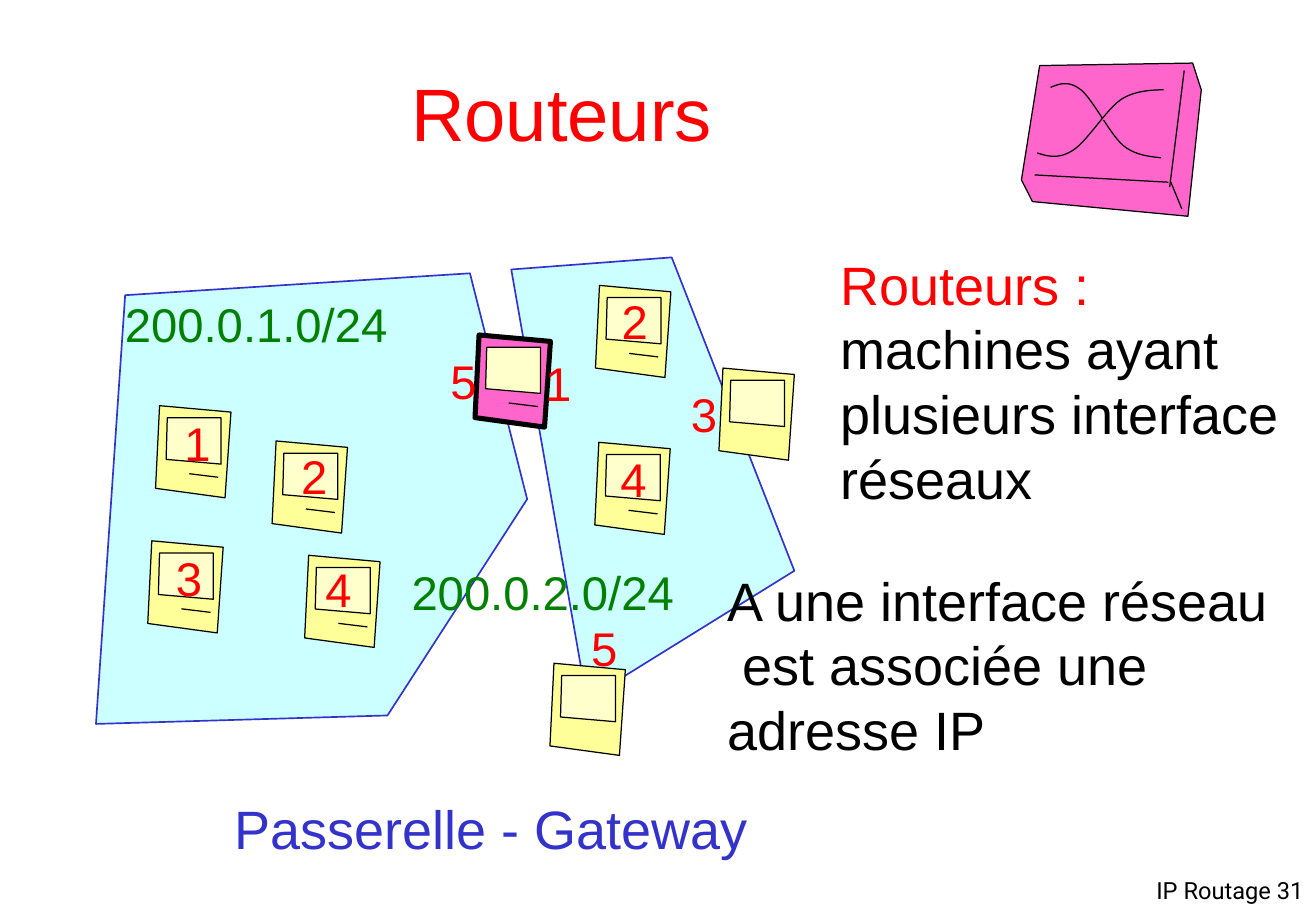
from dataclasses import dataclass

from lxml import etree
from pptx import Presentation
from pptx.dml.color import RGBColor
from pptx.enum import shapes, text
from pptx.oxml import ns
from pptx.shapes import shapetree as tree
from pptx.text import text as txt
from pptx.util import Pt

BLACK = RGBColor(0x00, 0x00, 0x00)
RED = RGBColor(0xFF, 0x00, 0x00)
GREEN = RGBColor(0x00, 0x80, 0x00)
BLUE = RGBColor(0x33, 0x33, 0xCC)
CYAN = RGBColor(0xCC, 0xFF, 0xFF)
YELLOW = RGBColor(0xFF, 0xFF, 0x99)
CREAM = RGBColor(0xFF, 0xFF, 0xCC)
PINK = RGBColor(0xFF, 0x66, 0xCC)

Point = tuple[float, float]
Canvas = tree.SlideShapes | tree.GroupShapes

THIN = 0.75
CURVE_STEPS = 12


@dataclass(frozen=True)
class Machine:
    left: float
    top: float
    fill: RGBColor = YELLOW
    weight: float = THIN
    has_slot: bool = True


@dataclass(frozen=True)
class HostNumber:
    number: str
    left: float
    top: float


@dataclass(frozen=True)
class Caption:
    runs: tuple[tuple[str, RGBColor], ...]
    left: float
    top: float
    width: float
    height: float
    size: float
    spacing: float
    font: str = "Arial"
    align: text.PP_ALIGN = text.PP_ALIGN.LEFT
    wrap: bool = True


NETWORKS: tuple[list[Point], ...] = (
    [(74.2, 175), (278.6, 162), (312.5, 295.9), (229.7, 424.1), (56.9, 429.1)],
    [(303.1, 159.8), (398.2, 152.6), (470.9, 338.4), (347.8, 414.7)],
)

CASE: list[Point] = [(0, 49), (2.4, 0), (44.7, 3.8), (41.2, 54.6)]
SCREEN: list[Point] = [(7, 7.2), (6.3, 31.8), (38.9, 34.6), (38.9, 7.2)]
SLOT: list[Point] = [(20, 40.3), (37.2, 42.4)]

MACHINES = (
    Machine(92.2, 240.5),
    Machine(161.3, 261.4),
    Machine(87.6, 320.6),
    Machine(180.6, 329.2),
    Machine(353, 169.2),
    Machine(352.6, 262.2),
    Machine(326, 393.2, has_slot=False),
    Machine(426.2, 218.2, has_slot=False),
    Machine(281.6, 198.6, fill=PINK, weight=3),
)

HOST_NUMBERS = (
    HostNumber("1", 102.2, 244.1),
    HostNumber("2", 171.4, 263.5),
    HostNumber("3", 97.2, 324),
    HostNumber("4", 185.8, 330.5),
    HostNumber("5", 259.9, 207.4),
    HostNumber("1", 316.1, 208.8),
    HostNumber("2", 361.4, 172.1),
    HostNumber("3", 402.5, 226.8),
    HostNumber("4", 360.7, 265.7),
    HostNumber("5", 343.4, 365.8),
)

ROUTER_BOX: list[Point] = [(616.3, 38.9), (605.5, 106.6), (612, 119.5),
                           (704.2, 128.2), (712.1, 53.3), (707, 37.4)]
ROUTER_EDGES: tuple[list[Point], ...] = (
    [(613.4, 103.7), (692.6, 108)],
    [(702, 41.8), (693.4, 110.9)],
    [(694.1, 108), (700.6, 123.8)],
)
ROUTER_CURVES: tuple[list[Point], ...] = (
    [(622.8, 51.8), (627.8, 49.7), (633.6, 47.5), (640.8, 53.3), (648, 59),
     (658.1, 79.9), (666, 86.4), (673.9, 92.9), (684.7, 92.9), (688.3, 93.6)],
    [(614.9, 90.7), (621.4, 92.9), (627.8, 94.3), (635.8, 89.3), (644.4, 84.2),
     (655.2, 65.5), (664.6, 59), (673.2, 53.3), (685.4, 53.3), (689.8, 53.3)],
)

CAPTIONS = (
    Caption((("Routeurs :", RED),
             (" machines ayant plusieurs interface réseaux", BLACK)),
            491, 145.4, 289.1, 161.3, 32, 1.0),
    Caption((("A une interface réseau\v est associée une adresse IP", BLACK),),
            424.1, 332.6, 339.8, 122.4, 32, 1.0),
    Caption((("200.0.2.0/24", GREEN),), 236.9, 332.6, 182.9, 39.6, 28, 0.96),
    Caption((("200.0.1.0/24", GREEN),), 67, 173.5, 198.7, 39.6, 28, 0.96),
    Caption((("Passerelle - Gateway", BLUE),), 131.8, 468, 468, 46, 32, 1.0),
    Caption((("IP Routage 31", BLACK),), 645.1, 517, 134.8, 25.9, 14, 0.96,
            font="Roboto", align=text.PP_ALIGN.RIGHT),
)


def shifted(points: list[Point], left: float, top: float) -> list[Point]:
    return [(left + x, top + y) for x, y in points]


def bezier_points(controls: list[Point]) -> list[Point]:
    curve = [controls[0]]
    for first in range(0, len(controls) - 1, 3):
        a, b, c, d = controls[first:first + 4]
        for step in range(1, CURVE_STEPS + 1):
            t = step / CURVE_STEPS
            s = 1 - t
            weights = (s ** 3, 3 * s * s * t, 3 * s * t * t, t ** 3)
            curve.append((sum(w * p[0] for w, p in zip(weights, (a, b, c, d))),
                          sum(w * p[1] for w, p in zip(weights, (a, b, c, d)))))
    return curve


def draw_outline(canvas: Canvas, points: list[Point], fill: RGBColor,
                 ink: RGBColor = BLACK, weight: float = THIN,
                 closed: bool = True) -> None:
    start, *rest = [(Pt(x), Pt(y)) for x, y in points]
    builder = canvas.build_freeform(*start)
    builder.add_line_segments(rest, close=closed)
    outline = builder.convert_to_shape()
    outline.shadow.inherit = False
    outline.fill.solid()
    outline.fill.fore_color.rgb = fill
    outline.line.color.rgb = ink
    outline.line.width = Pt(weight)


def draw_line(canvas: Canvas, ends: list[Point]) -> None:
    (x1, y1), (x2, y2) = ends
    line = canvas.add_connector(shapes.MSO_CONNECTOR.STRAIGHT,
                                Pt(x1), Pt(y1), Pt(x2), Pt(y2))
    line.line.color.rgb = BLACK
    line.line.width = Pt(THIN)
    etree.SubElement(line._element.spPr, ns.qn("a:effectLst"))


def draw_machine(canvas: Canvas, machine: Machine) -> None:
    at = (machine.left, machine.top)
    draw_outline(canvas, shifted(CASE, *at), machine.fill, weight=machine.weight)
    draw_outline(canvas, shifted(SCREEN, *at), CREAM)
    if machine.has_slot:
        draw_line(canvas, shifted(SLOT, *at))


def draw_router(canvas: Canvas) -> None:
    draw_outline(canvas, ROUTER_BOX, PINK)
    for edge in ROUTER_EDGES:
        draw_line(canvas, edge)
    for curve in ROUTER_CURVES:
        draw_outline(canvas, bezier_points(curve), PINK, closed=False)


def write_runs(frame: txt.TextFrame, caption: Caption) -> None:
    paragraph = frame.paragraphs[0]
    paragraph.alignment = caption.align
    paragraph.line_spacing = caption.spacing
    paragraph.font.name = caption.font
    paragraph.font.size = Pt(caption.size)
    for words, color in caption.runs:
        for part_index, part in enumerate(words.split("\v")):
            if part_index:
                paragraph.add_line_break()
            run = paragraph.add_run()
            run.text = part
            run.font.color.rgb = color


def draw_caption(canvas: Canvas, caption: Caption) -> None:
    box = canvas.add_textbox(Pt(caption.left), Pt(caption.top),
                             Pt(caption.width), Pt(caption.height))
    box.text_frame.word_wrap = caption.wrap
    write_runs(box.text_frame, caption)


def place_title(canvas: tree.SlideShapes) -> None:
    title = canvas.title
    title.left, title.top, title.width, title.height = (
        Pt(83.5), Pt(37.4), Pt(499), Pt(62.6))
    title.text_frame.vertical_anchor = text.MSO_ANCHOR.MIDDLE
    write_runs(title.text_frame,
               Caption((("Routeurs", RED),), 83.5, 37.4, 499, 62.6, 44, 0.96,
                       align=text.PP_ALIGN.CENTER))


def main() -> None:
    deck = Presentation()
    deck.slide_width, deck.slide_height = Pt(780.13), Pt(540)
    canvas = deck.slides.add_slide(deck.slide_layouts[5]).shapes
    place_title(canvas)
    for network in NETWORKS:
        draw_outline(canvas, network, CYAN, ink=BLUE, weight=1)
    for machine in MACHINES:
        draw_machine(canvas, machine)
    for host in HOST_NUMBERS:
        draw_caption(canvas, Caption(((host.number, RED),), host.left, host.top,
                                     29.5, 39.6, 28, 0.96, wrap=False))
    draw_router(canvas.add_group_shape().shapes)
    for caption in CAPTIONS:
        draw_caption(canvas, caption)
    deck.save("out.pptx")


if __name__ == "__main__":
    main()
